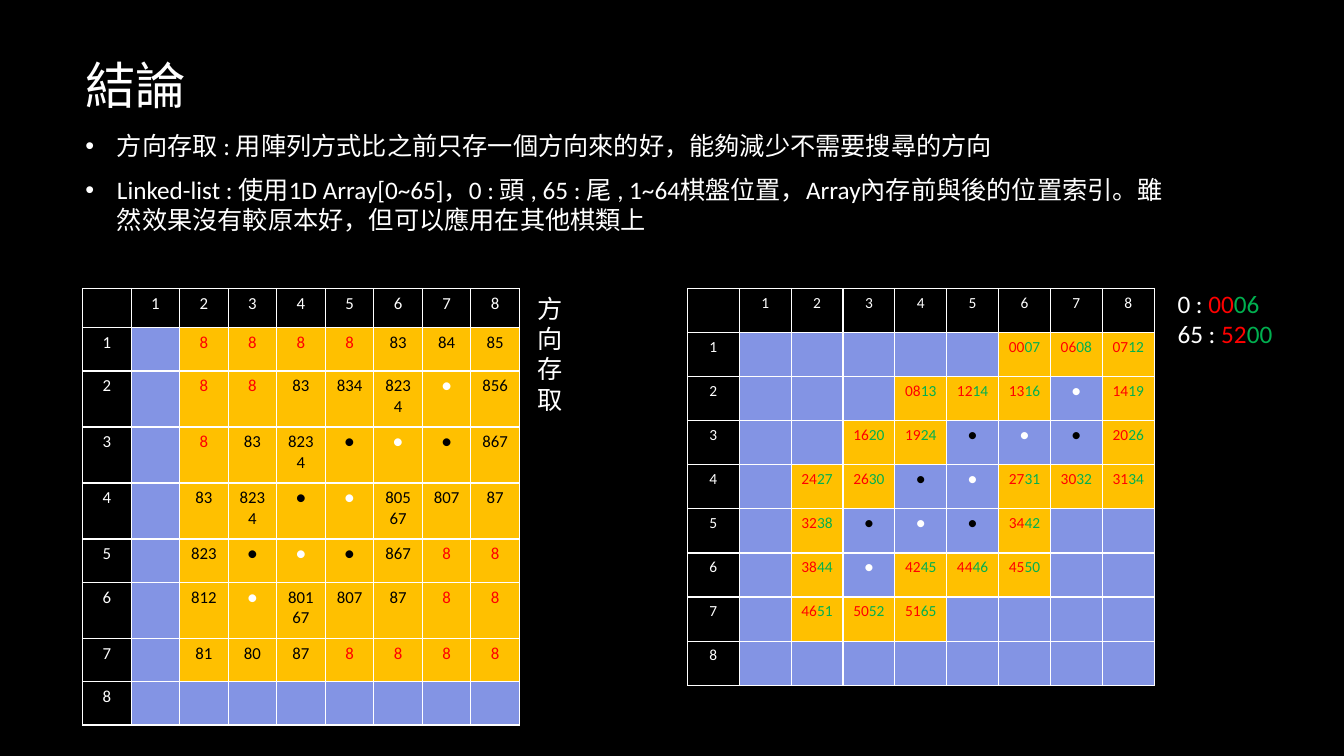
"""Build the conclusion slide with two board tables."""
from lxml.etree import SubElement
from pptx import Presentation
from pptx.dml.color import RGBColor
from pptx.enum.text import MSO_ANCHOR, PP_ALIGN
from pptx.oxml.ns import qn
from pptx.util import Pt

COLORS = {"black": "000000", "white": "FFFFFF", "red": "FF0000",
          "green": "00B050", "gold": "FFC000", "blue": "8394E4"}
FONT = "Calibri"
TITLE = "結論"
BULLETS = [
    "方向存取 : 用陣列方式比之前只存一個方向來的好，能夠減少不需要搜尋的方向",
    "Linked-list : 使用1D Array[0~65]，0 : 頭 , 65 : 尾 , 1~64棋盤位置，"
    "Array內存前與後的位置索引。雖然效果沒有較原本好，但可以應用在其他棋類上",
]
SIDE_LABEL = "方向存取"
LIST_ENDS = [("0 : ", "00", "06"), ("65 : ", "52", "00")]

# B and W are stones, - is an empty square
DIRECTIONS = [
    "- 8 8 8 8 83 84 85",
    "- 8 8 83 834 8234 W 856",
    "- 8 83 8234 B W B 867",
    "- 83 8234 B W 80567 807 87",
    "- 823 B W B 867 8 8",
    "- 812 W 80167 807 87 8 8",
    "- 81 80 87 8 8 8 8",
    "- - - - - - - -",
]
LINKS = [
    "- - - - - 0007 0608 0712",
    "- - - 0813 1214 1316 W 1419",
    "- - 1620 1924 B W B 2026",
    "- 2427 2630 B W 2731 3032 3134",
    "- 3238 B W B 3442 - -",
    "- 3844 W 4245 4446 4550 - -",
    "- 4651 5052 5165 - - - -",
    "- - - - - - - -",
]
STONES = {"B": [("●", "black")], "W": [("●", "white")]}
DIRECTION_HEIGHTS = [28, 31, 40, 40, 40, 31, 40, 31, 31]
LINK_HEIGHTS = [31.5] * 9


def rgb(name):
    return RGBColor.from_string(COLORS[name])


def write(p, parts, size):
    for text, color in parts:
        r = p.add_run()
        r.text = text
        r.font.name = FONT
        r.font.size = Pt(size)
        r.font.color.rgb = rgb(color)
    if not parts:
        SubElement(p._p, qn("a:endParaRPr"), sz=str(size * 100))


def add_text(s, box, paras, size, anchor=MSO_ANCHOR.TOP):
    tf = s.shapes.add_textbox(*map(Pt, box)).text_frame
    tf.word_wrap = True
    tf.vertical_anchor = anchor
    for i, parts in enumerate(paras):
        write(tf.add_paragraph() if i else tf.paragraphs[0], parts, size)
    return tf


def add_bullet(p):
    pPr = p._p.get_or_add_pPr()
    pPr.set("marL", str(Pt(22.5)))
    pPr.set("indent", str(Pt(-22.5)))
    p.space_after = Pt(10)
    SubElement(pPr, qn("a:buFont"), typeface="Arial")
    SubElement(pPr, qn("a:buChar"), char="•")


def add_borders(cell):
    tcPr = cell._tc.get_or_add_tcPr()
    for side in ("lnL", "lnR", "lnT", "lnB"):
        ln = SubElement(tcPr, qn(f"a:{side}"), w=str(Pt(1)))
        fill = SubElement(ln, qn("a:solidFill"))
        SubElement(fill, qn("a:srgbClr"), val=COLORS["white"])


def direction_style(code):
    if code == "-":
        return [], "blue"
    return STONES.get(code, [(code, "red" if code == "8" else "black")]), "gold"


def link_style(code):
    if code == "-" or code in STONES:
        return STONES.get(code, []), "blue"
    return [(code[:2], "red"), (code[2:], "green")], "gold"


def add_board(s, left, top, col_width, heights, rows, size, style):
    n = len(heights)
    tbl = s.shapes.add_table(n, n, Pt(left), Pt(top), Pt(col_width * n),
                             Pt(sum(heights))).table
    tbl.first_row = tbl.horz_banding = False
    for i, height in enumerate(heights):
        tbl.columns[i].width = Pt(col_width)
        tbl.rows[i].height = Pt(height)
    codes = [row.split() for row in rows]
    for i in range(n):
        for j in range(n):
            cell = tbl.cell(i, j)
            add_borders(cell)
            if i and j:
                parts, fill = style(codes[i - 1][j - 1])
                cell.fill.solid()
                cell.fill.fore_color.rgb = rgb(fill)
            else:
                parts = [(str(i + j), "white")] if i + j else []
                cell.fill.background()
            p = cell.text_frame.paragraphs[0]
            p.alignment = PP_ALIGN.CENTER
            write(p, parts, size)


def main():
    prs = Presentation()
    prs.slide_width, prs.slide_height = Pt(960), Pt(540)
    s = prs.slides.add_slide(prs.slide_layouts[6])
    s.background.fill.solid()
    s.background.fill.fore_color.rgb = rgb("black")

    add_text(s, (54, 3, 798, 114.5), [[(TITLE, "white")]], 36, MSO_ANCHOR.MIDDLE)
    tf = add_text(s, (54, 34, 798, 287), [[(b, "white")] for b in BULLETS], 18)
    tf.margin_top = Pt(59)
    for p in tf.paragraphs:
        add_bullet(p)

    add_board(s, 59, 206, 34.67, DIRECTION_HEIGHTS, DIRECTIONS, 12, direction_style)
    add_text(s, (376.5, 206, 39.5, 94.5), [[(SIDE_LABEL, "white")]], 18)
    add_board(s, 491, 206, 37.05, LINK_HEIGHTS, LINKS, 11, link_style)
    add_text(s, (834, 202.5, 96, 51),
             [list(zip(end, ("white", "red", "green"))) for end in LIST_ENDS], 18)
    prs.save("out.pptx")


if __name__ == "__main__":
    main()
